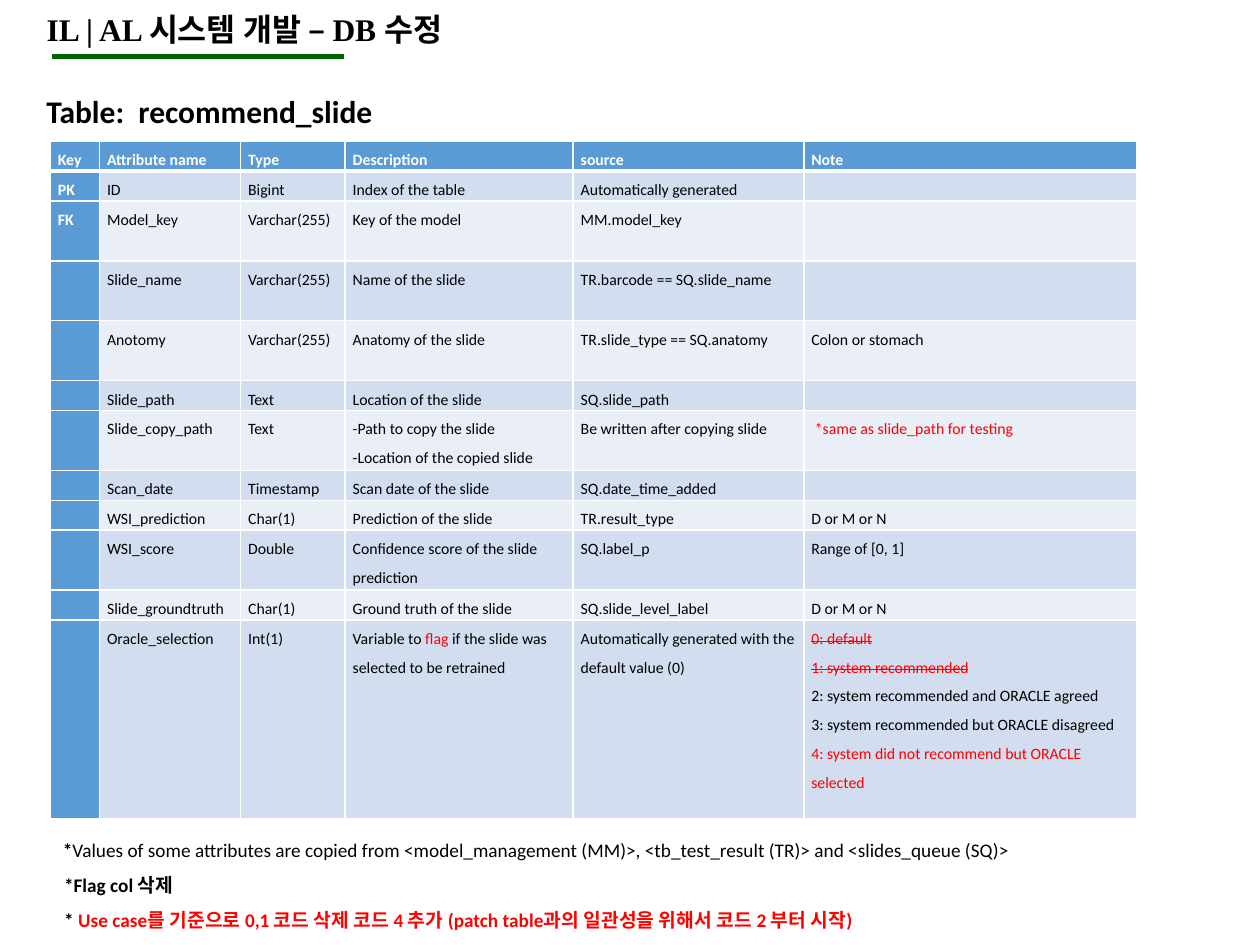
from lxml.etree import SubElement
from pptx import Presentation
from pptx.dml.color import RGBColor
from pptx.enum.shapes import MSO_CONNECTOR as CONN
from pptx.enum.text import MSO_ANCHOR as ANCHOR, MSO_AUTO_SIZE as AUTO, PP_ALIGN as ALIGN
from pptx.oxml.ns import qn
from pptx.util import Inches, Pt

BLACK = RGBColor(0x00, 0x00, 0x00)
WHITE = RGBColor(0xFF, 0xFF, 0xFF)
RED = RGBColor(0xFF, 0x00, 0x00)
GREEN = RGBColor(0x00, 0x66, 0x00)
BLUE = RGBColor(0x5B, 0x9B, 0xD5)
BAND_DARK = RGBColor(0xD2, 0xDE, 0xEF)
BAND_LIGHT = RGBColor(0xEA, 0xEF, 0xF7)

COLUMNS, ROWS = 100, 75
COL_WIDTHS = [3.9, 11.2, 8.3, 18.1, 18.3, 26.4]
SINGLE, DOUBLE, TALL = 2.38, 4.75, 15.8
ROW_HEIGHTS = [SINGLE, SINGLE, DOUBLE, DOUBLE, DOUBLE, SINGLE,
               DOUBLE, SINGLE, SINGLE, DOUBLE, SINGLE, TALL]

RETRAIN_FLAG = [[("Variable to", {}), (" flag ", {"color": RED}),
                 ("if the slide was selected to be retrained", {})]]
SELECTION_CODES = [
    [("0: default", {"color": RED, "strike": True})],
    [("1: system recommended", {"color": RED, "strike": True})],
    "2: system recommended and ORACLE agreed",
    "3: system recommended but ORACLE disagreed",
    [("4: system did not recommend but ORACLE selected", {"color": RED})],
]
ATTRIBUTES = [
    ["Key", "Attribute name", "Type", "Description", "source", "Note"],
    ["PK", "ID", "Bigint", "Index of the table", "Automatically generated", ""],
    ["FK", "Model_key", "Varchar(255)", "Key of the model", "MM.model_key", ""],
    ["", "Slide_name", "Varchar(255)", "Name of the slide",
     "TR.barcode == SQ.slide_name", ""],
    ["", "Anotomy", "Varchar(255)", "Anatomy of the slide",
     "TR.slide_type == SQ.anatomy", "Colon or stomach"],
    ["", "Slide_path", "Text", "Location of the slide", "SQ.slide_path", ""],
    ["", "Slide_copy_path", "Text",
     "-Path to copy the slide\n-Location of the copied slide",
     "Be written after copying slide",
     [[(" *same as slide_path for testing", {"color": RED})]]],
    ["", "Scan_date", "Timestamp", "Scan date of the slide", "SQ.date_time_added", ""],
    ["", "WSI_prediction", "Char(1)", "Prediction of the slide",
     "TR.result_type", "D or M or N"],
    ["", "WSI_score", "Double", "Confidence score of the slide prediction",
     "SQ.label_p", "Range of [0, 1]"],
    ["", "Slide_groundtruth", "Char(1)", "Ground truth of the slide",
     "SQ.slide_level_label", "D or M or N"],
    ["", "Oracle_selection", "Int(1)", RETRAIN_FLAG,
     "Automatically generated with the default value (0)", SELECTION_CODES],
]


class SlideBuilder:
    font = "Calibri"

    def __init__(self, prs):
        self.s = prs.slides.add_slide(prs.slide_layouts[5])
        self.col = prs.slide_width / COLUMNS
        self.row = prs.slide_height / ROWS

    def box(self, x, y, w, h):
        return (round(x * self.col), round(y * self.row),
                round(w * self.col), round(h * self.row))

    def fill_text(self, tf, paragraphs, size, color=BLACK, bold=False, spacing=None,
                  font=None):
        for i, runs in enumerate(paragraphs):
            p = tf.add_paragraph() if i else tf.paragraphs[0]
            p.alignment = ALIGN.LEFT
            if spacing:
                p.line_spacing = spacing
            f = p.font
            f.name, f.size, f.bold = font or self.font, Pt(size), bold
            f.color.rgb = color
            for text, look in [(runs, {})] if isinstance(runs, str) else runs:
                self.add_runs(p, text, look)
            if not p.runs:
                SubElement(p._p, qn("a:endParaRPr"), sz=str(size * 100))

    def add_runs(self, p, text, look):
        for i, line in enumerate(text.split("\n")):
            if i:
                p.add_line_break()
            if not line:
                continue
            r = p.add_run()
            r.text = line
            if "color" in look:
                r.font.color.rgb = look["color"]
            if "bold" in look:
                r.font.bold = look["bold"]
            if look.get("strike"):
                r.font._element.set("strike", "sngStrike")

    def title(self, text, x, y, w, h):
        sp = self.s.shapes.title
        sp.left, sp.top, sp.width, sp.height = self.box(x, y, w, h)
        tf = sp.text_frame
        tf.vertical_anchor, tf.auto_size, tf.word_wrap = ANCHOR.TOP, AUTO.NONE, True
        self.fill_text(tf, [text], 18, bold=True, spacing=1.0, font="Times New Roman")

    def text(self, paragraphs, x, y, w, h, size, wrap=True, **style):
        tf = self.s.shapes.add_textbox(*self.box(x, y, w, h)).text_frame
        tf.word_wrap, tf.auto_size = wrap, AUTO.SHAPE_TO_FIT_TEXT
        self.fill_text(tf, paragraphs, size, **style)

    def rule(self, x, y, w, color, weight):
        left, top, width, _ = self.box(x, y, w, 0)
        line = self.s.shapes.add_connector(CONN.STRAIGHT, left, top, left + width, top)
        line.line.color.rgb, line.line.width = color, Pt(weight)
        SubElement(line._element.spPr, qn("a:effectLst"))

    def borders(self, cell, bottom):
        tcPr = cell._tc.get_or_add_tcPr()
        for side, weight in zip("LRTB", (1, 1, 1, bottom)):
            ln = SubElement(tcPr, qn(f"a:ln{side}"), w=str(Pt(weight)))
            SubElement(SubElement(ln, qn("a:solidFill")), qn("a:srgbClr"), val=str(WHITE))

    def table(self, data, x, y):
        area = self.box(x, y, sum(COL_WIDTHS), sum(ROW_HEIGHTS))
        table = self.s.shapes.add_table(len(data), len(COL_WIDTHS), *area).table
        table.first_row = table.horz_banding = False
        for column, width in zip(table.columns, COL_WIDTHS):
            column.width = round(width * self.col)
        for row, height in zip(table.rows, ROW_HEIGHTS):
            row.height = round(height * self.row)
        for i, values in enumerate(data):
            for j, value in enumerate(values):
                self.cell(table.cell(i, j), value, i, j)

    def cell(self, cell, value, i, j):
        heading = i == 0 or j == 0
        cell.margin_left = cell.margin_right = Inches(0.06)
        cell.margin_top = cell.margin_bottom = 0
        self.borders(cell, 1 if i else 3)
        cell.fill.solid()
        cell.fill.fore_color.rgb = BLUE if heading else BAND_DARK if i % 2 else BAND_LIGHT
        self.fill_text(cell.text_frame, [value] if isinstance(value, str) else value, 9,
                       color=WHITE if heading else BLACK, bold=heading, spacing=1.5)


def main():
    prs = Presentation()
    prs.slide_width, prs.slide_height = Inches(10), Inches(7.5)
    b = SlideBuilder(prs)
    b.table(ATTRIBUTES, 4, 11.2)
    b.text([[("*", {"bold": True}),
             ("Values of some attributes are copied from <model_management (MM)>, "
              "<tb_test_result (TR)> and <slides_queue (SQ)>", {})]],
           4, 65.1, 85.9, 3.5, 11, spacing=1.5)
    b.text(["*Flag col 삭제",
            [("* ", {}),
             ("Use case를 기준으로 0,1 코드 삭제 코드 4 추가 "
              "(patch table과의 일관성을 위해서 코드 2 부터 시작)", {"color": RED})]],
           4.1, 67.9, 85.9, 6.3, 11, bold=True, spacing=1.5)
    b.text(["Table:  recommend_slide"], 2.7, 6.8, 28.7, 4, 18, wrap=False, bold=True)
    b.rule(4.1, 4.5, 23.2, GREEN, 3)
    b.title("IL | AL 시스템 개발 – DB 수정", 2.7, 0.3, 69.6, 4)
    prs.save("out.pptx")


if __name__ == "__main__":
    main()
